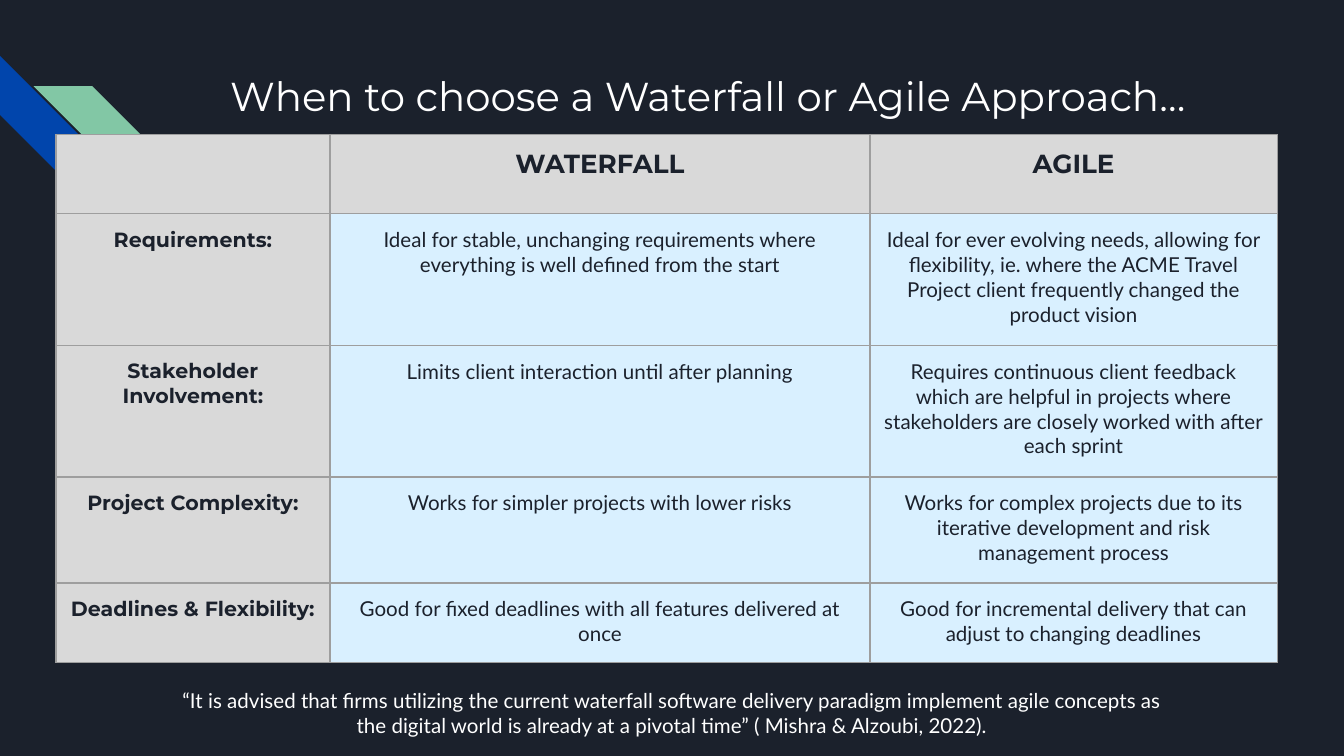
from lxml.etree import SubElement
from pptx import Presentation
from pptx.dml.color import RGBColor
from pptx.enum.shapes import MSO_SHAPE
from pptx.enum.text import MSO_ANCHOR, PP_ALIGN
from pptx.oxml.ns import qn
from pptx.util import Pt

NAVY = RGBColor(0x1B, 0x21, 0x2C)
BLUE = RGBColor(0x01, 0x45, 0xAC)
GREEN = RGBColor(0x82, 0xC7, 0xA5)
WHITE = RGBColor(0xFF, 0xFF, 0xFF)
GRAY = RGBColor(0xD9, 0xD9, 0xD9)
PALE = RGBColor(0xD9, 0xF0, 0xFF)
BORDER = RGBColor(0x9E, 0x9E, 0x9E)

HEAD_FONT, BODY_FONT = "Montserrat", "Lato"
INSET = Pt(7.2)

COLS = [146.8, 289.3, 218.2]
ROWS = [42.6, 70.5, 70.5, 56.8, 42.6]
CELLS = [
    ["", "WATERFALL", "AGILE"],
    ["Requirements:",
     "Ideal for stable, unchanging requirements where everything is well defined from the start",
     "Ideal for ever evolving needs, allowing for flexibility, ie. where the ACME Travel "
     "Project client frequently changed the product vision"],
    ["Stakeholder Involvement:",
     "Limits client interaction until after planning",
     "Requires continuous client feedback which are helpful in projects where "
     "stakeholders are closely worked with after each sprint"],
    ["Project Complexity:",
     "Works for simpler projects with lower risks",
     "Works for complex projects due to its iterative development and risk management process"],
    ["Deadlines & Flexibility:",
     "Good for fixed deadlines with all features delivered at once",
     "Good for incremental delivery that can adjust to changing deadlines"],
]


class Deck:
    """Holds the style and the current slide."""

    def __init__(self, prs):
        self.s = prs.slides.add_slide(prs.slide_layouts[6])
        fill = self.s.background.fill
        fill.solid()
        fill.fore_color.rgb = NAVY

    def style(self, p, text, size, font, color, bold=False):
        p.text = text
        p.alignment = PP_ALIGN.CENTER
        p.font.size, p.font.name, p.font.bold = Pt(size), font, bold
        p.font.color.rgb = color

    def stripe(self, x, y, size, rotation, color):
        sp = self.s.shapes.add_shape(MSO_SHAPE.DIAGONAL_STRIPE, Pt(x), Pt(y), Pt(size), Pt(size))
        sp.shadow.inherit = False
        sp.rotation = rotation
        sp.fill.solid()
        sp.fill.fore_color.rgb = color
        sp.line.fill.background()

    def text(self, x, y, w, h, text, size, font):
        tf = self.s.shapes.add_textbox(Pt(x), Pt(y), Pt(w), Pt(h)).text_frame
        tf.word_wrap = True
        tf.vertical_anchor = MSO_ANCHOR.TOP
        tf.margin_left = tf.margin_right = tf.margin_top = tf.margin_bottom = INSET
        self.style(tf.paragraphs[0], text, size, font, WHITE)

    def borders(self, cell):
        tc_pr = cell._tc.get_or_add_tcPr()
        for side in ("a:lnL", "a:lnR", "a:lnT", "a:lnB"):
            ln = SubElement(tc_pr, qn(side), w=str(Pt(0.75)))
            SubElement(SubElement(ln, qn("a:solidFill")), qn("a:srgbClr"), val=str(BORDER))

    def table(self, x, y, cols, rows, cells):
        tbl = self.s.shapes.add_table(
            len(rows), len(cols), Pt(x), Pt(y), Pt(sum(cols)), Pt(sum(rows))).table
        for column, w in zip(tbl.columns, cols):
            column.width = Pt(w)
        for i, h in enumerate(rows):
            tbl.rows[i].height = Pt(h)
            for j, text in enumerate(cells[i]):
                heading = i == 0 or j == 0
                cell = tbl.cell(i, j)
                self.borders(cell)
                cell.fill.solid()
                cell.fill.fore_color.rgb = GRAY if heading else PALE
                cell.margin_left = cell.margin_right = INSET
                cell.margin_top = cell.margin_bottom = INSET
                self.style(cell.text_frame.paragraphs[0], text, 14 if i == 0 else 11,
                           HEAD_FONT if heading else BODY_FONT, NAVY, heading)


def main():
    prs = Presentation()
    prs.slide_width, prs.slide_height = Pt(720), Pt(405)
    deck = Deck(prs)

    # Corner stripes
    deck.stripe(0, 30, 63, 270, BLUE)
    deck.stripe(18, 46.2, 63, 90, GREEN)

    # Title
    deck.text(102, 31, 554.5, 72, "When to choose a Waterfall or Agile Approach…", 21.6, HEAD_FONT)

    # Comparison table
    deck.table(30, 72, COLS, ROWS, CELLS)

    # Quotation
    deck.text(85, 361.5, 550, 41,
              "“It is advised that firms utilizing the current waterfall software delivery "
              "paradigm implement agile concepts as the digital world is already at a pivotal "
              "time” ( Mishra & Alzoubi, 2022).", 11, BODY_FONT)

    prs.save("out.pptx")


if __name__ == "__main__":
    main()
